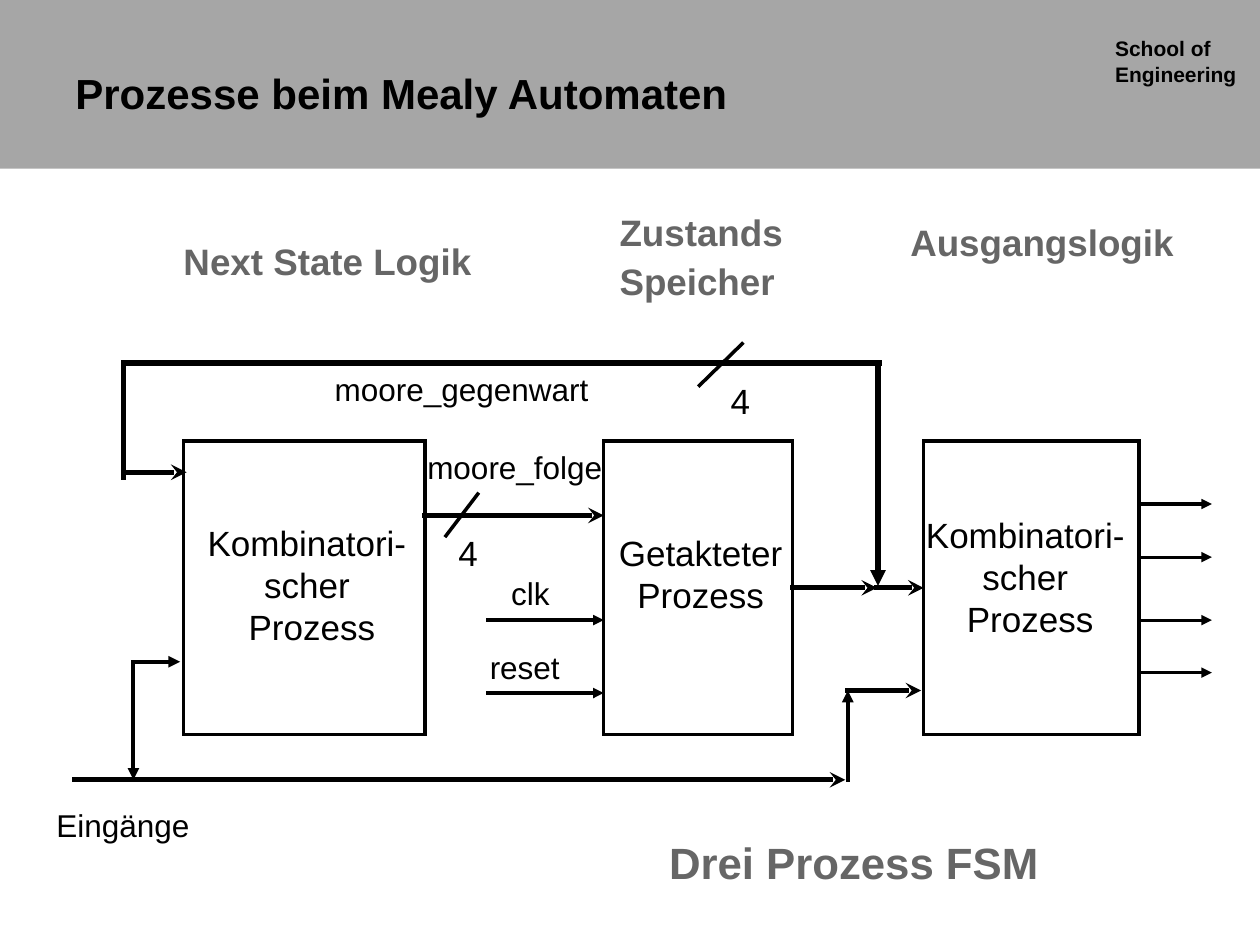
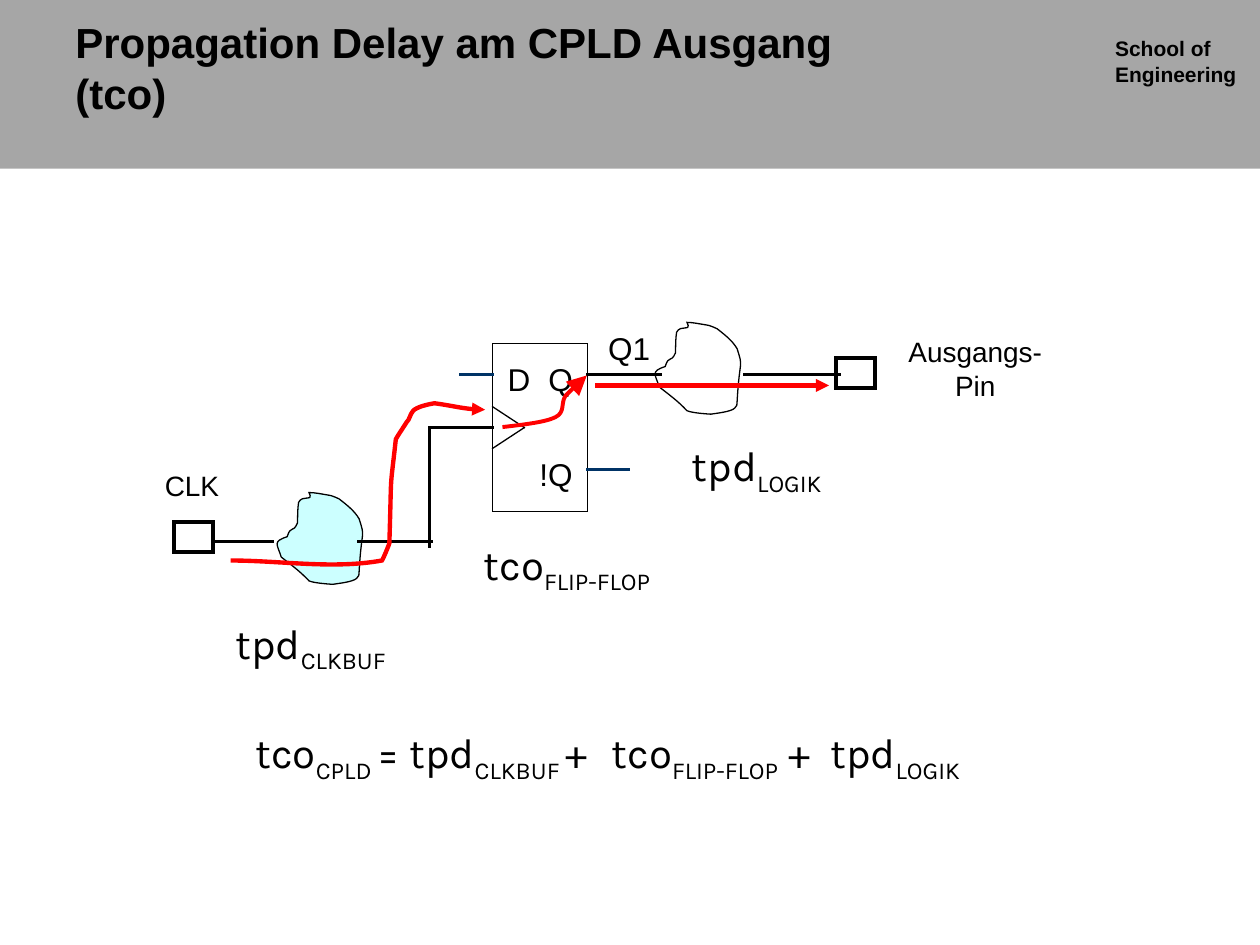
import dataclasses

import lxml.etree
import pptx
import pptx.dml.color
import pptx.enum.shapes
import pptx.enum.text
import pptx.oxml.ns
import pptx.util

Cm = pptx.util.Cm
Pt = pptx.util.Pt
ALIGN = pptx.enum.text.PP_ALIGN
ANCHOR = pptx.enum.text.MSO_ANCHOR
RECTANGLE = pptx.enum.shapes.MSO_SHAPE.RECTANGLE
LEFT, RIGHT = 1, 3


@dataclasses.dataclass(frozen=True)
class Theme:
    band: str = "A6A6A6"
    ink: str = "000000"
    heading: str = "666666"
    stub: str = "003366"
    buffer: str = "CCFFFF"
    delay: str = "FF0000"
    font: str = "Arial"
    formula_font: str = "Karla"
    title: int = 24
    school: int = 12
    column: int = 21
    caption: int = 25
    block: int = 20
    signal: int = 18
    pin: int = 16
    formula: int = 24


@dataclasses.dataclass(frozen=True)
class Box:
    """An area in centimetres."""
    left: float
    top: float
    width: float
    height: float

    def inner(self, left, top, width, height):
        return Box(self.left + left, self.top + top, width, height)

    def point(self, x, y):
        return Cm(self.left + x), Cm(self.top + y)

    def lengths(self):
        return Cm(self.left), Cm(self.top), Cm(self.width), Cm(self.height)


THEME = Theme()

# Each curve chain is a start point followed by three points for each curve.
CLOUD = [(0.74, 0),
         (0.86, 0), (0.99, 0.03), (1.12, 0.05),
         (1.19, 0.05), (1.35, 0.13), (1.35, 0.13),
         (1.5, 0.25), (1.65, 0.36), (1.75, 0.53),
         (1.88, 0.94), (1.8, 0.69), (1.75, 1.6),
         (1.75, 1.65), (1.75, 1.7), (1.7, 1.73),
         (1.63, 1.8), (1.35, 1.83), (1.22, 1.85),
         (1.22, 1.85), (0.84, 1.83), (0.74, 1.78),
         (0.71, 1.75), (0.69, 1.73), (0.66, 1.7),
         (0.51, 1.55), (0.33, 1.42), (0.18, 1.3),
         (0.1, 1.04), (0, 0.99), (0.3, 0.89),
         (0.38, 0.64), (0.41, 0.84), (0.51, 0.61),
         (0.51, 0.46), (0.51, 0.33), (0.53, 0.2),
         (0.61, 0.03), (0.84, 0.2), (0.74, 0)]
CLOCK_DELAY = [(2.15, 4.8),
               (3.16, 4.8), (4.21, 4.98), (5.2, 4.8),
               (5.22, 4.78), (5.35, 4.47), (5.35, 4.45),
               (5.4, 2.85), (5.35, 3.53), (5.48, 2.36),
               (5.48, 2.34), (5.65, 2.09), (5.7, 2.01),
               (5.76, 1.96), (5.76, 1.86), (5.83, 1.78),
               (5.91, 1.7), (6.14, 1.65), (6.26, 1.63),
               (6.62, 1.68), (6.9, 1.76), (7.28, 1.76)]
FLIP_FLOP_DELAY = [(0.2, 1.68),
                   (0.64, 1.63), (1.07, 1.58), (1.27, 1.48),
                   (1.47, 1.38), (1.37, 1.2), (1.47, 1.05),
                   (1.6, 0.92), (1.75, 0.77), (1.9, 0.64)]


def rgb(value):
    return pptx.dml.color.RGBColor.from_string(value)


def add_element(parent, tag, **attributes):
    return lxml.etree.SubElement(parent, pptx.oxml.ns.qn(tag), attributes)


def style_line(line, color, width, arrow=None, arrow_size="med"):
    line.color.rgb = rgb(color)
    line.width = Pt(width)
    outline = line._get_or_add_ln()
    add_element(outline, "a:miter", lim="800000")
    if arrow:
        add_element(outline, "a:tailEnd", type=arrow, w=arrow_size, len=arrow_size)


def style_fill(shape, color):
    if color:
        shape.fill.solid()
        shape.fill.fore_color.rgb = rgb(color)
    else:
        shape.fill.background()


def add_rectangle(page, box, width=2, fill=None):
    """Draw an outlined rectangle; a width of 0 leaves out the outline."""
    shape = page.shapes.add_shape(RECTANGLE, *box.lengths())
    shape.shadow.inherit = False
    style_fill(shape, fill)
    if width:
        style_line(shape.line, THEME.ink, width)
    else:
        shape.line.fill.background()
    return shape


def add_wire(page, box, start, end, width=2, arrow=None, color=THEME.ink):
    """Join two ends, each a point in the box or a pair of shape and side."""
    start_point, end_point = (
        (0, 0) if hasattr(spot[0], "shape_id") else box.point(*spot) for spot in (start, end))
    wire = page.shapes.add_connector(
        pptx.enum.shapes.MSO_CONNECTOR.STRAIGHT, *start_point, *end_point)
    if hasattr(start[0], "shape_id"):
        wire.begin_connect(*start)
    if hasattr(end[0], "shape_id"):
        wire.end_connect(*end)
    style_line(wire.line, color, width, arrow)
    wire.line._get_or_add_ln().set("cap", "sq")
    add_element(wire._element.spPr, "a:effectLst")


def add_curve(page, box, points, color, width, fill=None, close=False, **arrow):
    """Draw a chain of cubic curves."""
    corners = [box.point(*point) for point in points]
    builder = page.shapes.build_freeform(*corners[0])
    builder.add_line_segments(corners[1:], close=close)
    shape = builder.convert_to_shape()
    segments = list(shape._element.iter(pptx.oxml.ns.qn("a:lnTo")))
    for index in range(0, len(segments), 3):
        curve = lxml.etree.Element(pptx.oxml.ns.qn("a:cubicBezTo"))
        segments[index].addprevious(curve)
        for segment in segments[index:index + 3]:
            curve.append(segment[0])
            segment.getparent().remove(segment)
    shape.shadow.inherit = False
    style_fill(shape, fill)
    style_line(shape.line, color, width, **arrow)


def add_span(para, text, size, color, bold, font, lowered=False):
    span = para.add_run()
    span.text = text
    span.font.size, span.font.bold, span.font.name = Pt(size), bold, font
    span.font.color.rgb = rgb(color)
    if lowered:
        span._r.get_or_add_rPr().set("baseline", "-25000")


def add_frame(page, box, wrap=False, grow=True):
    frame = page.shapes.add_textbox(*box.lengths()).text_frame
    frame.word_wrap = wrap
    kinds = pptx.enum.text.MSO_AUTO_SIZE
    frame.auto_size = kinds.SHAPE_TO_FIT_TEXT if grow else kinds.NONE
    return frame


def add_text(page, box, text, size, color=THEME.ink, bold=False,
             align=ALIGN.CENTER, wrap=False, grow=True):
    """Write one paragraph, with a line break at each newline."""
    frame = add_frame(page, box, wrap, grow)
    if align == ALIGN.CENTER:
        frame.margin_left = frame.margin_right = 0
    para = frame.paragraphs[0]
    para.alignment = align
    for number, line in enumerate(text.split("\n")):
        if number:
            para.add_line_break()
        add_span(para, line, size, color, bold, THEME.font)
    return frame


def add_heading(page, box, text, size):
    frame = add_text(page, box, text, size, THEME.heading, True, ALIGN.LEFT)
    frame.margin_left = frame.margin_right = frame.margin_top = frame.margin_bottom = 0
    frame.vertical_anchor = ANCHOR.BOTTOM
    frame.paragraphs[0].line_spacing = Pt(28)
    frame.paragraphs[0].space_after = Pt(14)


def add_formula(page, box, *parts, tabs=()):
    """Write parts that are in turn on the line and lowered."""
    para = add_frame(page, box).paragraphs[0]
    if tabs:
        stops = add_element(para._p.get_or_add_pPr(), "a:tabLst")
        for stop in tabs:
            add_element(stops, "a:tab", pos=str(Cm(stop)), algn="l")
    for number, part in enumerate(parts):
        add_span(para, part, THEME.formula, THEME.ink, False,
                 THEME.formula_font, lowered=number % 2 == 1)


def header(page, box, title):
    add_rectangle(page, box, width=0, fill=THEME.band)
    add_text(page, box.inner(22.23, 0.6, 3.17, 1.27), "School of\nEngineering",
             THEME.school, bold=True, align=ALIGN.LEFT, wrap=True)
    frame = add_text(page, box.inner(1.27, 0.76, 17.37, 2.21), title, THEME.title,
                     bold=True, align=ALIGN.LEFT, wrap=True, grow=False)
    frame.vertical_anchor = ANCHOR.BOTTOM
    frame.margin_bottom = Cm(0.6)


def column_headings(page, box):
    for text, left, top, width, height in (
            ("Next State Logik", 0, 0.61, 5.82, 0.99),
            ("Zustands\nSpeicher", 8.79, 0.01, 3.3, 1.98),
            ("Ausgangslogik", 14.65, 0.22, 5.31, 0.99)):
        add_heading(page, box.inner(left, top, width, height), text, THEME.column)


def state_machine(page, box):
    next_state, register, output = (
        add_rectangle(page, box.inner(left, 1.99, width, 5.92))
        for left, width in ((3.2, 4.87), (11.67, 3.81), (18.12, 4.34)))

    for text, left, top, width, height, size in (
            ("Kombinatori-\nscher\n Prozess", 3.43, 3.49, 4.52, 2.79, THEME.block),
            ("Getakteter\nProzess", 11.72, 3.69, 3.81, 1.96, THEME.block),
            ("Kombinatori-\nscher\n Prozess", 17.91, 3.33, 4.52, 2.79, THEME.block),
            ("4", 8.49, 3.69, 0.89, 1.12, THEME.block),
            ("4", 13.98, 0.62, 0.89, 1.12, THEME.block),
            ("moore_gegenwart", 6, 0.43, 5.61, 1.02, THEME.signal),
            ("moore_folge", 7.86, 2, 4.04, 1.02, THEME.signal),
            ("clk", 9.56, 4.54, 1.27, 1.02, THEME.signal),
            ("reset", 9.13, 6.03, 1.9, 1.02, THEME.signal),
            ("Eingänge", 0.39, 9.23, 3.18, 1.02, THEME.signal)):
        add_text(page, box.inner(left, top, width, height), text, size)

    state = (17.18, 4.95)
    feedback_corner, feedback_end = (1.99, 0.42), (1.99, 2.73)
    input_fork, input_turn = (2.19, 6.44), (16.59, 7.02)
    for start, end, width, arrow in (
            ((8.06, 3.49), (11.67, 3.49), 3, "stealth"),
            ((register, RIGHT), state, 3, "stealth"),
            (state, (output, LEFT), 3, "stealth"),
            (feedback_corner, (17.23, 0.42), 3, None),
            (feedback_corner, feedback_end, 3, None),
            ((1.99, 2.62), (3.26, 2.62), 3, "stealth"),
            ((17.2, 0.42), (17.2, 4.91), 3, "triangle"),
            ((9.33, 5.6), (11.67, 5.6), 2, "triangle"),
            ((9.33, 7.07), (11.67, 7.07), 2, "triangle"),
            ((9.13, 3.06), (8.49, 3.9), 2, None),
            ((14.46, 0.03), (13.6, 0.87), 2, None),
            ((1, 8.82), (16.54, 8.82), 3, "stealth"),
            ((16.59, 8.82), input_turn, 2.25, "triangle"),
            (input_turn, (18.07, 7.02), 3, "stealth"),
            (input_fork, (3.13, 6.44), 2.25, "triangle"),
            (input_fork, (2.19, 8.82), 2.25, "triangle")):
        add_wire(page, box, start, end, width, arrow)
    for y in (3.26, 4.33, 5.6, 6.66):
        add_wire(page, box, (22.46, y), (23.93, y), 1.75, "triangle")


def flip_flop(page, box):
    body = add_rectangle(page, box, width=0.75)
    for text, left, top, width in (
            ("D", 0, 0.2, 1.07), ("Q", 0.84, 0.2, 1.07), ("!Q", 0.43, 2.11, 1.7)):
        add_text(page, box.inner(left, top, width, 1.02), text, THEME.signal, wrap=True)
    for y in (1.27, 2.11):
        add_wire(page, box, (0, y), (0.64, 1.69), 0.75)
    for start, end, y in ((-0.64, 0, 0.62), (1.91, 2.74, 2.54)):
        add_wire(page, box, (start, y), (end, y), color=THEME.stub)
    return body


def delay_diagram(page, box):
    flip_flop_box = box.inner(7.43, 0.43, 1.91, 3.38)
    body = flip_flop(page, flip_flop_box)
    for left, top in ((14.35, 0.71), (1, 4.02)):
        add_rectangle(page, box.inner(left, top, 0.8, 0.61), 2.25)

    for left, top, fill in ((10.61, 0, None), (2.99, 3.43, THEME.buffer)):
        add_curve(page, box.inner(left, top, 1.88, 1.85), CLOUD, THEME.ink, 0.75,
                  fill=fill, close=True)
    clock_corner = (6.16, 2.12)
    for start, end in (
            ((9.34, 1.05), (10.81, 1.05)),
            ((12.51, 1.05), (14.42, 1.05)),
            (clock_corner, (body, LEFT)),
            (clock_corner, (6.16, 4.52)),
            ((1.79, 4.42), (2.99, 4.42)),
            ((4.74, 4.42), (6.19, 4.42))):
        add_wire(page, box, start, end)

    add_text(page, box.inner(0, 2.82, 2.74, 0.94), "CLK", THEME.pin, wrap=True)
    add_text(page, box.inner(8.7, 0, 2.97, 1.02), "Q1", THEME.signal, wrap=True)
    add_text(page, box.inner(15.56, 0.12, 3.2, 1.6), "Ausgangs-\nPin", THEME.pin)
    for name, index, left, top, width in (
            ("tpd", "CLKBUF", 2, 5.82, 3.78),
            ("tpd", "LOGIK", 11.2, 2.24, 3.33),
            ("tco", "FLIP-FLOP", 7, 4.23, 4.06)):
        add_formula(page, box.inner(left, top, width, 1.42), name, index)

    add_curve(page, box, CLOCK_DELAY, THEME.delay, 2.5, arrow="triangle")
    add_curve(page, flip_flop_box, FLIP_FLOP_DELAY, THEME.delay, 2.25,
              arrow="triangle", arrow_size="lg")
    add_wire(page, box, (9.54, 1.27), (14.21, 1.27), 2.5, "triangle", THEME.delay)


def main():
    deck = pptx.Presentation()
    deck.slide_width, deck.slide_height = Cm(25.4), Cm(19.05)
    blank = deck.slide_layouts[6]
    band = Box(0, 0, 25.4, 3.4)

    page = deck.slides.add_slide(blank)
    header(page, band, "Prozesse beim Mealy Automaten")
    column_headings(page, Box(3.7, 4.11, 19.96, 1.98))
    state_machine(page, Box(0.5, 6.9, 23.93, 10.25))
    add_heading(page, Box(13.49, 16.92, 7.44, 0.99), "Drei Prozess FSM", THEME.caption)

    page = deck.slides.add_slide(blank)
    header(page, band, "Propagation Delay am CPLD Ausgang (tco)")
    delay_diagram(page, Box(2.5, 6.5, 18.76, 7.24))
    add_formula(page, Box(4.9, 14.53, 15.6, 1.42),
                "tco", "CPLD ", "= tpd", "CLKBUF ", "+\ttco", "FLIP-FLOP",
                " +\ttpd", "LOGIK", tabs=(7.18, 11.59))

    deck.save("out.pptx")


if __name__ == "__main__":
    main()
